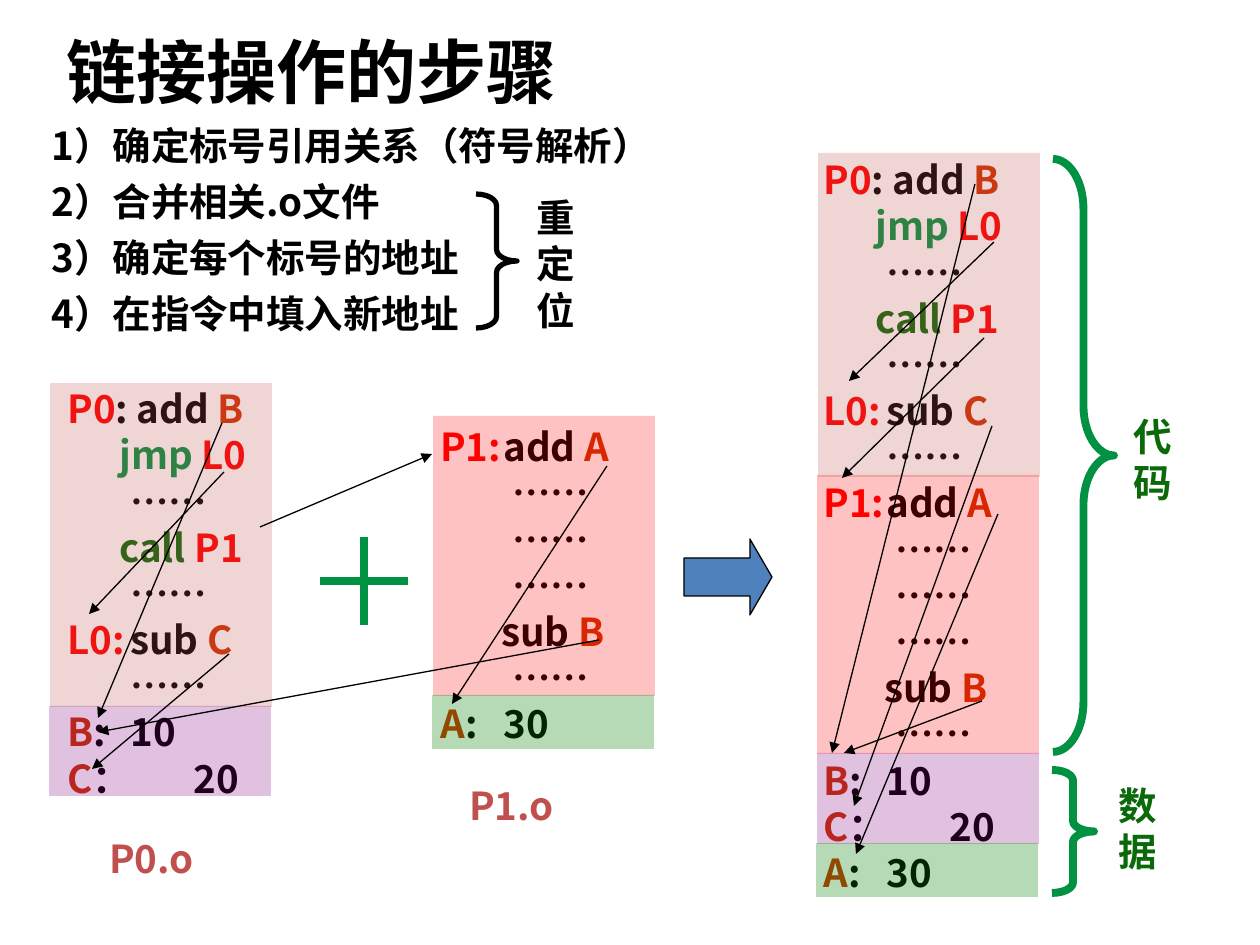
from lxml.etree import SubElement
from pptx import Presentation
from pptx.dml.color import RGBColor as RGB
from pptx.enum.shapes import MSO_CONNECTOR as Link, MSO_SHAPE as Form
from pptx.enum.text import MSO_ANCHOR as Anchor, MSO_AUTO_SIZE as Fit, PP_ALIGN as Align
from pptx.oxml.ns import qn
from pptx.util import Emu, Inches, Pt

SCALE = 914400 / 126  # EMU in one px
SANS, LATIN = "Noto Sans CJK SC", "Calibri"

BLACK = RGB(0, 0, 0)
RED = RGB(0xFF, 0, 0)
RUST = RGB(0xCC, 0x33, 0)
GREEN = RGB(0, 0x92, 0x42)
DARK = RGB(0x0A, 0x6A, 0x0A)
BRICK = RGB(0xC0, 0x50, 0x4D)
PLUM = RGB(0x80, 0, 0x80)
LEAF = RGB(0, 0x80, 0)
BLUE = RGB(0x4F, 0x81, 0xBD)

STEPS = ["1）确定标号引用关系（符号解析）", "2）合并相关.o文件",
         "3）确定每个标号的地址", "4）在指令中填入新地址"]


# A code line is (indent, tab stop, runs)
def dots(indent):
    return indent, 0, [("……", BLACK)]


def value(name, colon, stop, num):
    return 0, stop, [(name, RUST), (f"{colon}\t{num}", BLACK)]


def label(name, stop, verb, arg):
    return 0, stop, [(f"{name}:\t", RED), (f"{verb} ", BLACK), (arg, RUST)]


CODE0 = [
    (0, 0, [("P0", RED), (": add ", BLACK), ("B", RUST)]),
    (52, 0, [("jmp ", GREEN), ("L0", RED)]),
    dots(63),
    (52, 0, [("call ", DARK), ("P1", RED)]),
    dots(63),
    label("L0", 74, "sub", "C"),
    dots(63),
]
CODE1 = [
    label("P1", 79, "add", "A"),
    dots(72), dots(72), dots(72),
    (61, 0, [("sub ", BLACK), ("B", RUST)]),
    dots(72),
]
DATA0 = [value("B", ":", 78, 10), value("C", "：", 99, 20)]
DATA1 = [value("A", ":", 73, 30)]


def px(num):
    return Emu(round(num * SCALE))


def box(*nums):
    return [px(num) for num in nums]


def write(frame, lines, size=22, font=SANS, color=BLACK, pitch=1.2,
          before=0, hang=0, anchor=Anchor.TOP):
    """Fill a frame with plain strings or (indent, tab stop, runs) lines."""
    frame.word_wrap = True
    frame.auto_size = Fit.NONE
    frame.vertical_anchor = anchor
    for i, line in enumerate(lines):
        if isinstance(line, str):
            line = (hang, 0, [(line, color)])
        indent, stop, runs = line
        para = frame.paragraphs[0] if i == 0 else frame.add_paragraph()
        para.alignment = Align.LEFT
        para.line_spacing = Pt(size * pitch)
        para.space_before = Pt(before if i else 0)
        props = para._p.get_or_add_pPr()
        props.set("marL", str(px(indent)))
        props.set("indent", str(px(-hang)))
        SubElement(props, qn("a:buNone"))
        if stop:
            tabs = SubElement(props, qn("a:tabLst"))
            SubElement(tabs, qn("a:tab"), pos=str(px(stop)), algn="l")
        for text, tint in runs:
            run = para.add_run()
            run.text = text
            run.font.size = Pt(size)
            run.font.bold = True
            run.font.name = font
            run.font.color.rgb = tint
            SubElement(run._r.get_or_add_rPr(), qn("a:ea"), typeface=SANS)


def note(slide, area, lines, **form):
    write(slide.shapes.add_textbox(*box(*area)).text_frame, lines, **form)


def fill_in(holder, area, lines, **form):
    holder.left, holder.top, holder.width, holder.height = box(*area)
    write(holder.text_frame, lines, **form)


def shape(slide, kind, area, fill=None, alpha=None, line=None, width=0.75, adj=()):
    item = slide.shapes.add_shape(kind, *box(*area))
    item.shadow.inherit = False
    for i, num in enumerate(adj):
        item.adjustments[i] = num
    if fill is None:
        item.fill.background()
    else:
        item.fill.solid()
        item.fill.fore_color.rgb = fill
        if alpha:
            tint = item._element.spPr.find(".//" + qn("a:srgbClr"))
            SubElement(tint, qn("a:alpha"), val=str(alpha * 1000))
    if line is None:
        item.line.fill.background()
    else:
        item.line.color.rgb = line
        item.line.width = Pt(width)


def brace(slide, area, bend, color=GREEN, width=4.5):
    shape(slide, Form.RIGHT_BRACE, area, line=color, width=width, adj=(bend, 0.5))


def link(slide, ends, color=BLACK, width=0.75, head=True):
    item = slide.shapes.add_connector(Link.STRAIGHT, *box(*ends))
    item.line.color.rgb = color
    item.line.width = Pt(width)
    props = item._element.spPr
    if head:
        SubElement(props.find(qn("a:ln")), qn("a:tailEnd"), type="triangle")
    SubElement(props, qn("a:effectLst"))


def block(slide, area, lines, bands):
    """Code text under a stack of see-through bands."""
    note(slide, area, lines)
    for left, top, high, color, alpha in bands:
        shape(slide, Form.RECTANGLE, (left, top, 222, high), color, alpha)


def main():
    deck = Presentation()
    deck.slide_width, deck.slide_height = Inches(10), Inches(7.5)
    slide = deck.slides.add_slide(deck.slide_layouts[1])

    # Title and steps
    fill_in(slide.shapes.title, (54, 26, 1134, 90), ["链接操作的步骤"],
            size=40, anchor=Anchor.MIDDLE)
    fill_in(slide.placeholders[1], (39, 113, 664, 237), STEPS,
            pitch=1.26, before=4.4, hang=48)
    brace(slide, (476, 194, 41, 134), 0.28, BLACK, 3)
    note(slide, (524, 188, 74, 151), ["重定位"], font=LATIN)

    # Plus sign and arrow
    for ends in [(320, 581, 408, 581), (364, 537, 364, 625)]:
        link(slide, ends, GREEN, 4.5, head=False)
    shape(slide, Form.RIGHT_ARROW, (684, 539, 88, 76), BLUE, line=BLACK,
          adj=(0.5, 0.29))

    # Merged file
    brace(slide, (1053, 159, 61, 593), 0.82)
    note(slide, (1121, 407, 88, 105), ["代码"], font=LATIN, color=DARK)
    brace(slide, (1052, 770, 42, 123), 0.25)
    note(slide, (1106, 776, 88, 105), ["数据"], font=LATIN, color=DARK)
    block(slide, (811, 150, 258, 751), CODE0 + CODE1 + DATA0 + DATA1, [
        (818, 153, 324, BRICK, 24), (817, 475, 279, RED, 24),
        (817, 753, 91, PLUM, 24), (816, 843, 54, LEAF, 29)])

    # Object files
    block(slide, (428, 417, 239, 335), CODE1 + DATA1, [
        (433, 416, 280, RED, 24), (432, 695, 54, LEAF, 29)])
    block(slide, (55, 379, 258, 428), CODE0 + DATA0, [
        (50, 383, 324, BRICK, 24), (49, 706, 90, PLUM, 24)])
    for left, top, name in [(457, 776, "P1.o"), (97, 829, "P0.o")]:
        note(slide, (left, top, 129, 59), [name], color=BRICK)

    # References in the merged file, then in the object files
    for ends in [
        (975, 184, 832, 753), (982, 701, 844, 753), (998, 514, 856, 854),
        (992, 426, 854, 806), (994, 242, 849, 381), (984, 338, 842, 478),
        (260, 527, 432, 454), (224, 472, 89, 614), (222, 423, 98, 718),
        (229, 654, 92, 769), (607, 466, 452, 704), (599, 640, 98, 732),
    ]:
        link(slide, ends)

    deck.save("out.pptx")


if __name__ == "__main__":
    main()
